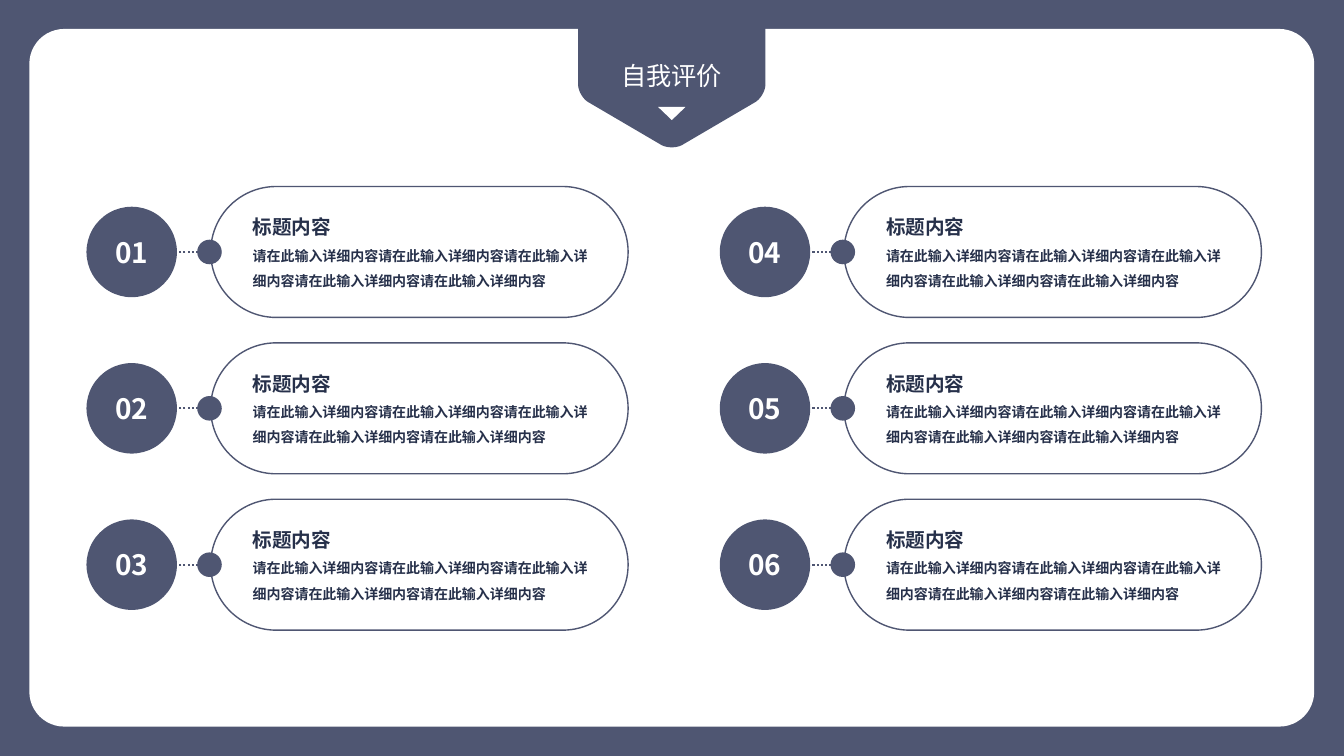
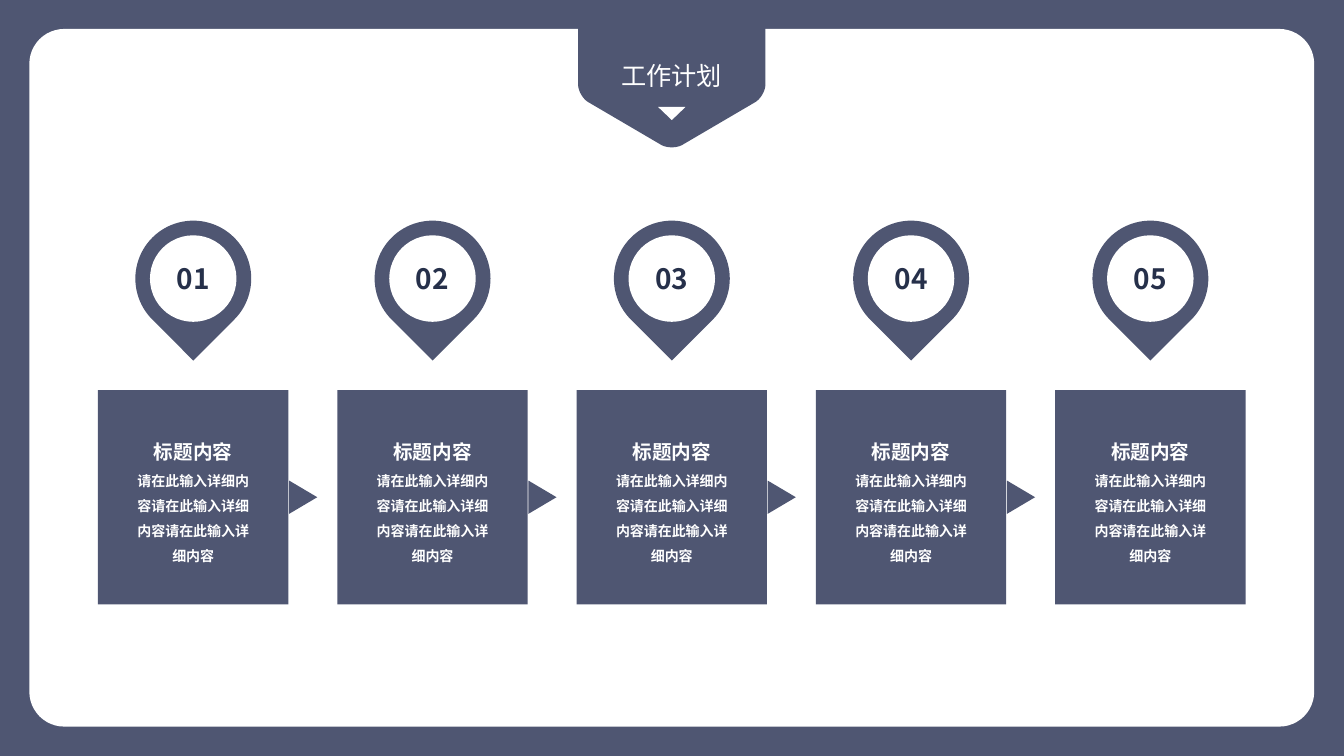
import lxml.etree
import pptx
import pptx.dml.color
import pptx.enum.dml
import pptx.enum.shapes
import pptx.enum.text
import pptx.oxml.ns
import pptx.util

Cm = pptx.util.Cm
SHAPES = pptx.enum.shapes.MSO_SHAPE
ALIGN = pptx.enum.text.PP_ALIGN
COLORS = {
    name: pptx.dml.color.RGBColor.from_string(value)
    for name, value in {"slate": "4F5672", "navy": "26304A", "white": "FFFFFF"}.items()
}
FONT = "Noto Sans CJK SC"
FORMATS = {
    "title": {"size": pptx.util.Pt(18), "bold": False},
    "number": {"size": pptx.util.Pt(20), "bold": True},
    "heading": {"size": pptx.util.Pt(14), "bold": True},
    "body": {"size": pptx.util.Pt(10), "bold": True},
}
HEADING = "标题内容"
PHRASE = "请在此输入详细内容"
CENTER_X = 16.93


def add_shape(slide, kind, center_x, center_y, width, height, fill="slate", rotation=0):
    shape = slide.shapes.add_shape(
        kind, Cm(center_x - width / 2), Cm(center_y - height / 2), Cm(width), Cm(height)
    )
    shape.shadow.inherit = False
    shape.rotation = rotation
    shape.line.fill.background()
    if fill:
        shape.fill.solid()
        shape.fill.fore_color.rgb = COLORS[fill]
    else:
        shape.fill.background()
    return shape


def write_text(shape, lines, color, align=ALIGN.CENTER, spacing=1.0):
    frame = shape.text_frame
    frame.word_wrap = True
    for index, (style, text) in enumerate(lines):
        paragraph = frame.add_paragraph() if index else frame.paragraphs[0]
        paragraph.alignment = align
        paragraph.line_spacing = spacing
        run = paragraph.add_run()
        run.text = text
        for attribute, value in {"name": FONT, **FORMATS[style]}.items():
            setattr(run.font, attribute, value)
        run.font.color.rgb = COLORS[color]
        east_asian = lxml.etree.SubElement(run.font._element, pptx.oxml.ns.qn("a:ea"))
        east_asian.set("typeface", FONT)


presentation = pptx.Presentation()
presentation.slide_width = Cm(33.87)
presentation.slide_height = Cm(19.05)

tag_corner = [(2.36, 2.13), (2.36, 2.29), (2.24, 2.49), (2.11, 2.57)]
tag_tip = [(0.25, 3.66), (0.1, 3.73), (-0.1, 3.73), (-0.25, 3.66)]
tag_far_corner = [(-x, y) for x, y in reversed(tag_corner)]
tag_points = [(2.36, 0)]
for curve in (tag_corner, tag_tip, tag_far_corner):
    for step in range(13):
        t = step / 12
        weights = ((1 - t) ** 3, 3 * t * (1 - t) ** 2, 3 * t**2 * (1 - t), t**3)
        tag_points.append(
            tuple(sum(w * point[axis] for w, point in zip(weights, curve)) for axis in (0, 1))
        )

slides = []
for title in ("自我评价", "工作计划"):
    slide = presentation.slides.add_slide(presentation.slide_layouts[6])
    slide.background.fill.solid()
    slide.background.fill.fore_color.rgb = COLORS["slate"]
    panel = add_shape(slide, SHAPES.ROUNDED_RECTANGLE, CENTER_X, 9.52, 32.38, 17.58, "white")
    panel.adjustments[0] = 0.05

    builder = slide.shapes.build_freeform(Cm(CENTER_X - 2.36), 0)
    builder.add_line_segments([(Cm(CENTER_X + x), Cm(y)) for x, y in tag_points])
    tag = builder.convert_to_shape()
    tag.shadow.inherit = False
    tag.fill.solid()
    tag.fill.fore_color.rgb = COLORS["slate"]
    tag.line.fill.background()

    title_box = slide.shapes.add_textbox(Cm(CENTER_X - 1.85), Cm(1.4), Cm(3.7), Cm(1.02))
    write_text(title_box, [("title", title)], "white")
    add_shape(slide, SHAPES.ISOSCELES_TRIANGLE, CENTER_X, 2.86, 0.69, 0.33, "white", 180)
    slides.append(slide)

evaluation, plan = slides

for index in range(6):
    column, row = divmod(index, 3)
    left = 2.18 + 15.96 * column
    middle = 6.35 + 3.94 * row
    pill_left = left + 3.13
    circle = add_shape(evaluation, SHAPES.OVAL, left + 1.14, middle, 2.28, 2.28)
    write_text(circle, [("number", f"{index + 1:02}")], "white")

    pill = add_shape(
        evaluation, SHAPES.ROUNDED_RECTANGLE, pill_left + 5.26, middle, 10.52, 3.3, None
    )
    pill.adjustments[0] = 0.5
    pill.line.color.rgb = COLORS["slate"]
    pill.line.width = pptx.util.Pt(1)
    add_shape(evaluation, SHAPES.OVAL, pill_left - 0.03, middle, 0.62, 0.62)

    connector = evaluation.shapes.add_connector(
        pptx.enum.shapes.MSO_CONNECTOR.STRAIGHT,
        Cm(pill_left), Cm(middle), Cm(left + 1.57), Cm(middle),
    )
    connector.line.color.rgb = COLORS["slate"]
    connector.line.width = pptx.util.Pt(1.5)
    connector.line.dash_style = pptx.enum.dml.MSO_LINE.ROUND_DOT
    lxml.etree.SubElement(connector._element.spPr, pptx.oxml.ns.qn("a:effectLst"))

    detail = evaluation.shapes.add_textbox(
        Cm(pill_left + 0.81), Cm(middle - 1.35), Cm(9.14), Cm(2.44)
    )
    lines = [("heading", HEADING), ("body", PHRASE * 5)]
    write_text(detail, lines, "navy", ALIGN.LEFT, 1.5)

step_count = 5
for index in range(step_count):
    center = CENTER_X + 6.03 * (index - 2)
    add_shape(plan, SHAPES.TEAR, center, 7.02, 2.92, 2.92, rotation=135)
    circle = add_shape(plan, SHAPES.OVAL, center, 7.02, 2.18, 2.18, "white")
    write_text(circle, [("number", f"{index + 1:02}")], "navy")
    add_shape(plan, SHAPES.RECTANGLE, center, 12.53, 4.8, 5.4)
    detail = plan.shapes.add_textbox(Cm(center - 1.8), Cm(10.67), Cm(3.6), Cm(3.71))
    write_text(detail, [("heading", HEADING), ("body", PHRASE * 3)], "white", spacing=1.5)
    if index < step_count - 1:
        add_shape(plan, SHAPES.ISOSCELES_TRIANGLE, center + 2.77, 12.53, 0.84, 0.71, rotation=90)

presentation.save("out.pptx")
